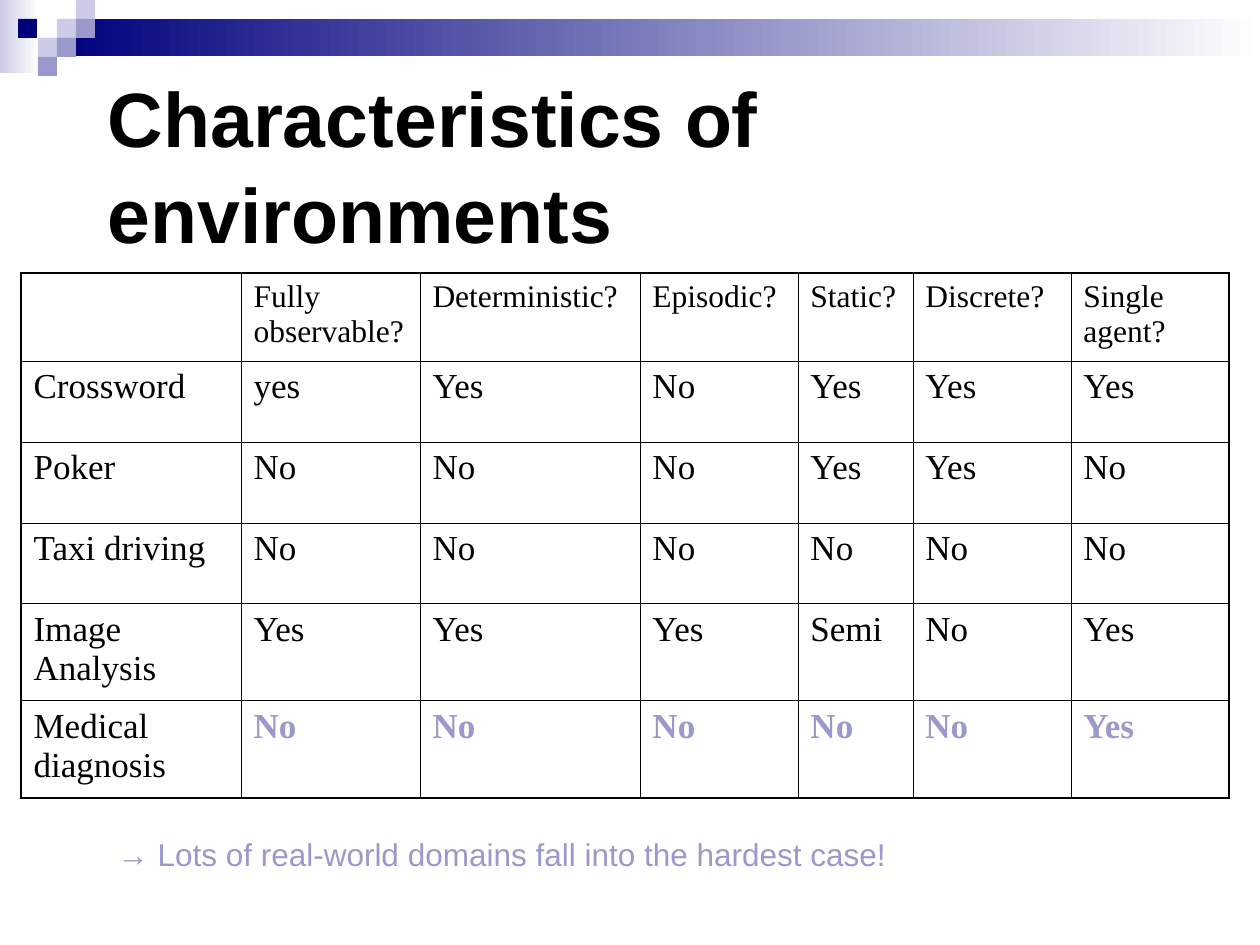
from itertools import product
from lxml.etree import SubElement
from pptx import Presentation
from pptx.dml.color import RGBColor
from pptx.enum.shapes import MSO_SHAPE
from pptx.enum.text import MSO_ANCHOR, MSO_AUTO_SIZE, PP_ALIGN
from pptx.oxml.ns import qn
from pptx.util import Pt

# Content
TITLE = "Characteristics of environments"
ROWS = [
    ["", "Fully observable?", "Deterministic?", "Episodic?", "Static?", "Discrete?", "Single agent?"],
    ["Crossword", "yes", "Yes", "No", "Yes", "Yes", "Yes"],
    ["Poker", "No", "No", "No", "Yes", "Yes", "No"],
    ["Taxi driving", "No", "No", "No", "No", "No", "No"],
    ["Image Analysis", "Yes", "Yes", "Yes", "Semi", "No", "Yes"],
    ["Medical diagnosis", "No", "No", "No", "No", "No", "Yes"],
]
NOTE = "→ Lots of real-world domains fall into the hardest case!"

# Layout in px, 126 to the inch
PX = 914400 / 126
COL_WIDTHS = [220, 179, 220, 158, 115, 158, 158]
ROW_HEIGHTS = [88, 81, 81, 81, 97, 97]
C = {"navy": "00007D", "pale": "CCCCE6", "lilac": "9999CC", "white": "FFFFFF", "black": "000000"}
SQUARE = 19
GRADIENTS = [(0, 0, 39, 73, "pale"), (57, 19, 1203, 37, "navy")]
SQUARES = [(57, 19, "pale"), (76, 0, "pale"), (76, 19, "lilac"), (38, 38, "pale"),
           (18, 19, "navy"), (57, 38, "lilac"), (38, 57, "lilac")]


def rgb(name):
    return RGBColor.from_string(C[name])


def box(*px):
    return [round(v * PX) for v in px]


def add_rect(s, x, y, w, h, color, fade=False):
    sp = s.shapes.add_shape(MSO_SHAPE.RECTANGLE, *box(x, y, w, h))
    sp.shadow.inherit = False
    sp.line.fill.background()
    if fade:
        sp.fill.gradient()
        sp.fill.gradient_angle = 0
        for stop, name in zip(sp.fill.gradient_stops, (color, "white")):
            stop.color.rgb = rgb(name)
    else:
        sp.fill.solid()
        sp.fill.fore_color.rgb = rgb(color)


def write(tf, text, font, size, color="black", bold=False, before=0):
    tf.word_wrap = True
    p = tf.paragraphs[0]
    p.text = text
    p.alignment = PP_ALIGN.LEFT
    p.space_before = Pt(before)
    for r in p.runs:
        r.font.name, r.font.size, r.font.bold = font, Pt(size), bold
        r.font.color.rgb = rgb(color)
    return p


def set_borders(cell, outer):
    """Draw the four cell edges, thicker on the table's outer sides."""
    tc_pr = cell._tc.get_or_add_tcPr()
    for i, side in enumerate("LRTB"):
        width = Pt(1.08 if side in outer else 0.45)
        ln = SubElement(tc_pr, qn(f"a:ln{side}"), w=str(width))
        SubElement(SubElement(ln, qn("a:solidFill")), qn("a:srgbClr"), val=C["black"])
        tc_pr.insert(i, ln)


prs = Presentation()
prs.slide_width, prs.slide_height = box(1260, 945)
s = prs.slides.add_slide(prs.slide_layouts[5])

# Header decoration
for x, y, w, h, color in GRADIENTS:
    add_rect(s, x, y, w, h, color, fade=True)
for x, y, color in SQUARES:
    add_rect(s, x, y, SQUARE, SQUARE, color)

# Title
title = s.shapes.title
title.left, title.top, title.width, title.height = box(95, 84, 1071, 158)
tf = title.text_frame
tf.auto_size = MSO_AUTO_SIZE.NONE
tf.vertical_anchor = MSO_ANCHOR.MIDDLE
write(tf, TITLE, "Arial", 44, bold=True).line_spacing = 1.04

# Table
last_row, last_col = len(ROWS) - 1, len(COL_WIDTHS) - 1
table = s.shapes.add_table(len(ROWS), len(COL_WIDTHS),
                           *box(21, 273, sum(COL_WIDTHS), sum(ROW_HEIGHTS))).table
table.first_row = table.horz_banding = False
for col, w in zip(table.columns, COL_WIDTHS):
    col.width = round(w * PX)
for row, h in zip(table.rows, ROW_HEIGHTS):
    row.height = round(h * PX)
for i, j in product(range(len(ROWS)), range(len(COL_WIDTHS))):
    cell = table.cell(i, j)
    cell.fill.background()
    hardest = i == last_row and j > 0
    size = 18 if i == 0 else 20
    write(cell.text_frame, ROWS[i][j], "Times New Roman", size,
          "lilac" if hardest else "black", hardest, before=size / 4)
    edges = {"L": j == 0, "R": j == last_col, "T": i == 0, "B": i == last_row}
    set_borders(cell, [side for side, is_outer in edges.items() if is_outer])

# Closing remark
note = s.shapes.add_textbox(*box(105, 829, 1061, 50))
write(note.text_frame, NOTE, "Arial", 18, "lilac", before=11.2)

prs.save("out.pptx")
